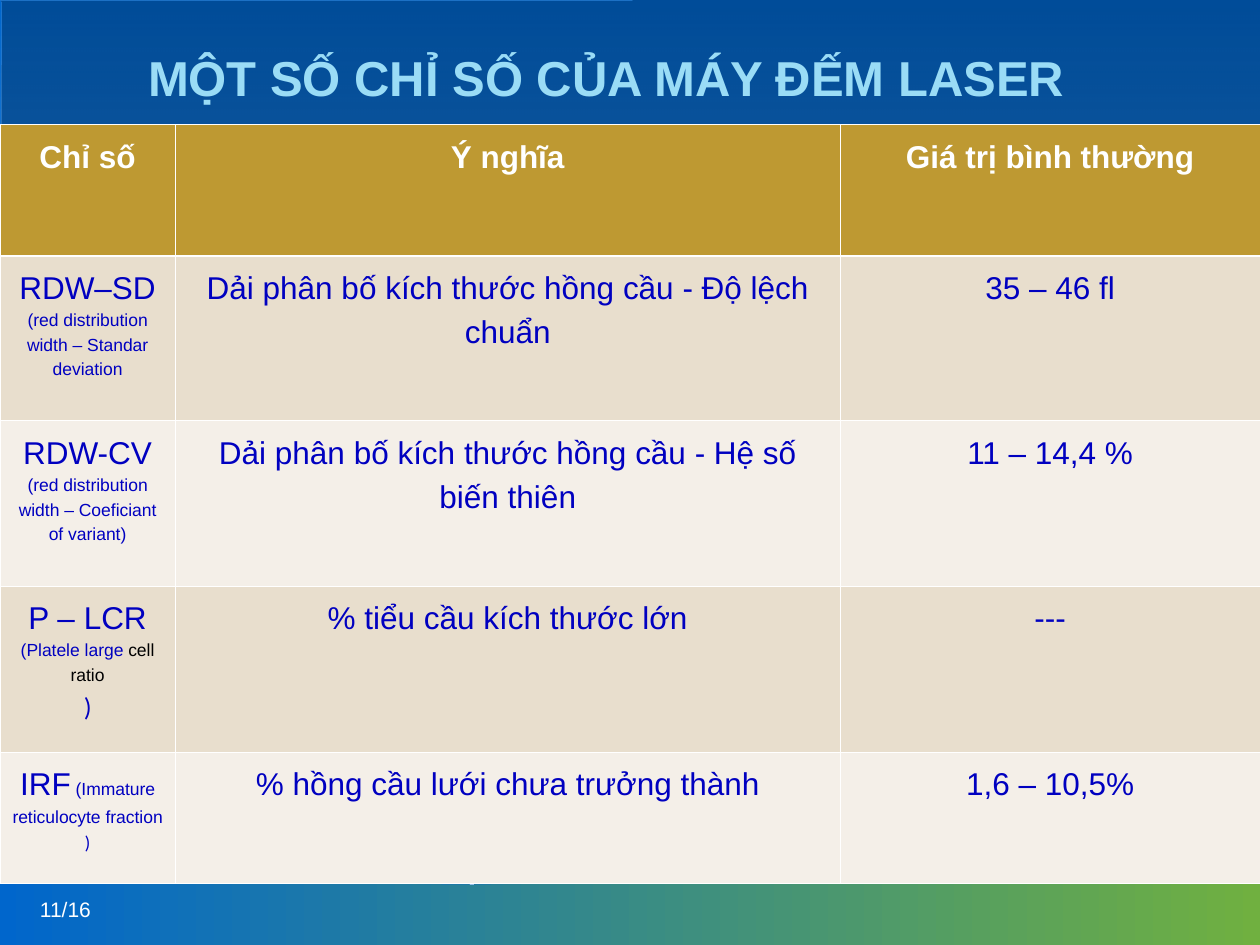
from lxml import etree
from pptx import Presentation
from pptx.dml.color import RGBColor
from pptx.enum.text import PP_ALIGN
from pptx.oxml.ns import qn
from pptx.util import Inches, Pt

CENTER, RIGHT = PP_ALIGN.CENTER, PP_ALIGN.RIGHT


class Theme:
    font, accent_font = "Arial", "Lato"
    blue, sky, navy, green = "0066CC", "9BC3EB", "002F5E", "70B040"
    title, white, black, text = "9ADCF6", "FFFFFF", "000000", "0000C0"
    header, bands = "BE9932", ("E8DECD", "F4EFE8")
    title_size, body_size, paren_size, page_size, note_size = 28, 18, 14, 12, 10
    thin, thick = 0.45, 1.47


def set_gradient(fill, colors, angle):
    fill.gradient()
    fill.gradient_angle = angle
    for stop, color in zip(fill.gradient_stops, colors):
        stop.color.rgb = RGBColor.from_string(color)


def style(font, size, color, name=Theme.font, bold=False):
    font.size, font.name, font.bold = Pt(size), name, bold
    font.color.rgb = RGBColor.from_string(color)


prs = Presentation()
prs.slide_width, prs.slide_height = Inches(10), Inches(7.5)
s = prs.slides.add_slide(prs.slide_layouts[6])
set_gradient(s.background.fill, (Theme.blue, Theme.sky), 270)

# Waves: a start point, then line ends (1 point) or Bezier segments (3 points)
waves = [
    ((0, 5.89),
     [[(0.12, 6.01), (1.11, 6.79), (3.44, 6.89)],
      [(5.76, 6.99), (9.38, 5.69), (10.03, 5.12)],
      [(10.03, 0)], [(0.01, 0.01)], [(0.02, 0.03)]],
     (Theme.navy, Theme.blue), 270),
    ((0, 6.52),
     [[(0.03, 6.47), (1.3, 6.92), (3.06, 7.01)],
      [(4.82, 7.09), (7.23, 6.86), (10.01, 5.78)],
      [(10, 7.53)], [(-0.02, 7.52)]],
     (Theme.blue, Theme.green), 0),
]
STEPS = 16
wave_shapes = []
for start, segments, colors, angle in waves:
    points, last = [], start
    for seg in segments:
        if len(seg) == 3:
            for t in (i / STEPS for i in range(1, STEPS + 1)):
                weights = ((1 - t) ** 3, 3 * t * (1 - t) ** 2, 3 * t * t * (1 - t), t ** 3)
                points.append([sum(w * pt[axis] for w, pt in zip(weights, [last, *seg]))
                               for axis in (0, 1)])
        else:
            points.append(seg[0])
        last = seg[-1]
    builder = s.shapes.build_freeform(Inches(start[0]), Inches(start[1]))
    builder.add_line_segments([(Inches(x), Inches(y)) for x, y in points], close=True)
    sp = builder.convert_to_shape()
    sp.shadow.inherit = False
    sp.line.fill.background()
    set_gradient(sp.fill, colors, angle)
    wave_shapes.append(sp)

# The upper wave starts translucent
first_color = next(wave_shapes[0].element.spPr.iter(qn("a:srgbClr")))
etree.SubElement(first_color, qn("a:alpha"), val="46000")

labels = [
    ("MỘT SỐ CHỈ SỐ CỦA MÁY ĐẾM LASER\t", (0.2, 0.28, 9.45, 0.57), 0.1, CENTER,
     Theme.title_size, Theme.title, True),
    ("11/16", (0.1, 7.07, 0.72, 0.23), 0.05, RIGHT,
     Theme.page_size, Theme.white, False),
]
for text, box, inset, align, size, color, bold in labels:
    tf = s.shapes.add_textbox(*map(Inches, box)).text_frame
    tf.word_wrap = True
    tf.margin_top = Inches(inset)
    p = tf.paragraphs[0]
    p.text, p.alignment = text, align
    style(p.font, size, color, bold=bold)

# Each cell is a list of paragraphs, each paragraph a list of runs
heads = ["Chỉ số", "Ý nghĩa", "Giá trị bình thường"]
main = (Theme.body_size, Theme.text)
note = (Theme.note_size, Theme.text)
rows = [
    [[[(h, Theme.body_size, Theme.white, Theme.font, True)]] for h in heads],
    [[[("RDW–SD", *main), (" (red distribution width – Standar deviation", *note)]],
     [[("Dải phân bố kích thước hồng cầu - Độ lệch chuẩn", *main)]],
     [[("35 – 46 fl", *main)]]],
    [[[("RDW-CV", *main), (" (red distribution width – Coeficiant of variant)", *note)]],
     [[("Dải phân bố kích thước hồng cầu - Hệ số biến thiên", *main)]],
     [[("11 – 14,4 %", *main)]]],
    [[[("P – LCR ", *main), ("(Platele large ", *note),
       ("cell ratio", Theme.note_size, Theme.black)],
      [(")", Theme.paren_size, Theme.text, Theme.accent_font)]],
     [[("% tiểu cầu kích thước lớn", *main)]],
     [[("---", *main)]]],
    [[[("IRF", *main), (" (Immature reticulocyte fraction", *note)],
      [(")", *note, Theme.accent_font)]],
     [[("% hồng cầu lưới chưa trưởng thành", *main)]],
     [[("1,6 – 10,5%", *main)]]],
]
col_widths = [1.39, 5.28, 3.33]
row_heights = [1.04, 1.31, 1.31, 1.32, 1.04]
table = s.shapes.add_table(len(rows), len(heads), Inches(0), Inches(0.99),
                           Inches(sum(col_widths)), Inches(sum(row_heights))).table
table.horz_banding = False
for column, width in zip(table.columns, col_widths):
    column.width = Inches(width)
for row, height in zip(table.rows, row_heights):
    row.height = Inches(height)

for i, row in enumerate(rows):
    for j, paragraphs in enumerate(row):
        cell = table.cell(i, j)
        cell.margin_left = cell.margin_right = Inches(0.08)
        tcPr = cell._tc.get_or_add_tcPr()
        for side in "LRTB":
            heavy = (i, side) in ((0, "B"), (1, "T"))
            ln = etree.SubElement(tcPr, qn(f"a:ln{side}"),
                                  w=str(Pt(Theme.thick if heavy else Theme.thin)))
            solid = etree.SubElement(ln, qn("a:solidFill"))
            etree.SubElement(solid, qn("a:srgbClr"), val=Theme.white)
        cell.fill.solid()
        color = Theme.bands[(i - 1) % 2] if i else Theme.header
        cell.fill.fore_color.rgb = RGBColor.from_string(color)
        tf = cell.text_frame
        for k, runs in enumerate(paragraphs):
            p = tf.add_paragraph() if k else tf.paragraphs[0]
            p.alignment, p.line_spacing = CENTER, 1.25
            if len(runs) == 1:
                p.text = runs[0][0]
                style(p.font, *runs[0][1:])
                continue
            for text, *look in runs:
                r = p.add_run()
                r.text = text
                style(r.font, *look)

prs.save("out.pptx")
